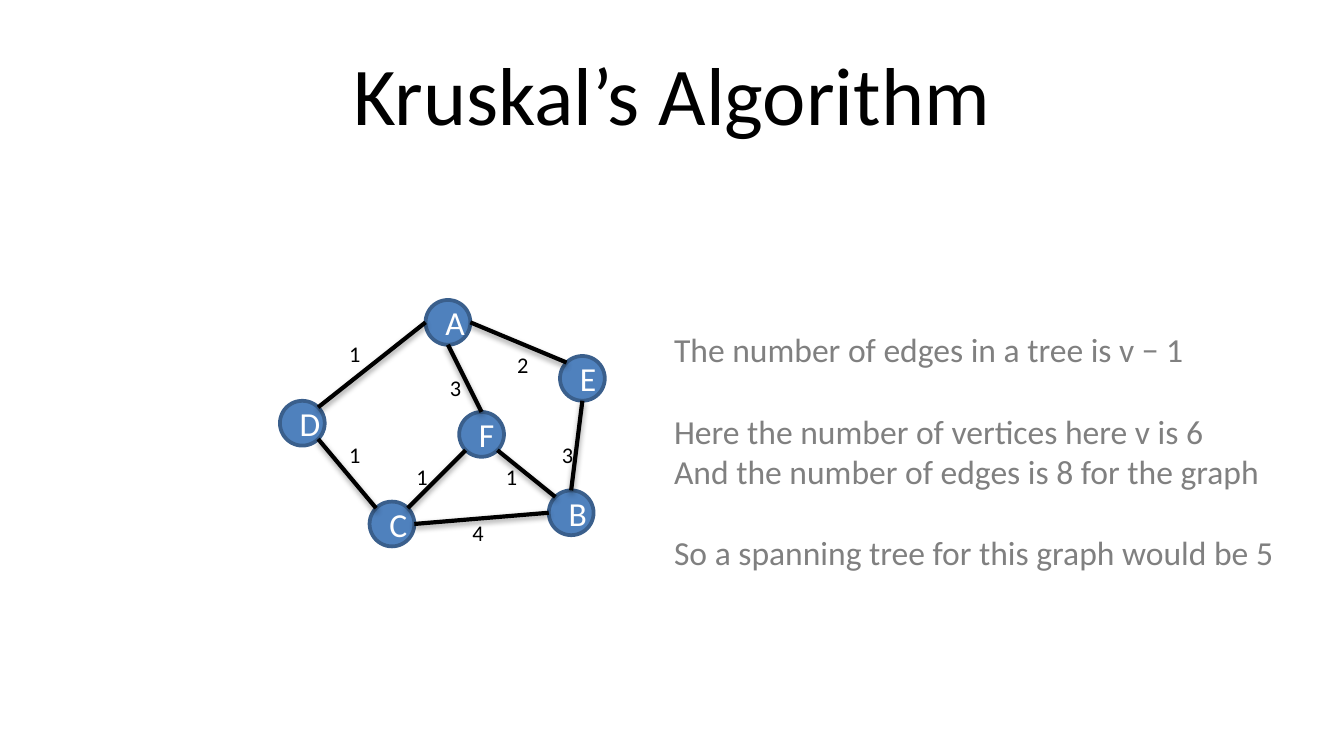
from math import cos, radians, sin

from pptx import Presentation
from pptx.dml.color import RGBColor
from pptx.enum.shapes import MSO_CONNECTOR as Connector, MSO_SHAPE as Shape
from pptx.enum.text import MSO_ANCHOR as Anchor, MSO_AUTO_SIZE as AutoSize, PP_ALIGN as Align
from pptx.util import Cm, Pt

BLACK = RGBColor(0x00, 0x00, 0x00)
WHITE = RGBColor(0xFF, 0xFF, 0xFF)
GRAY = RGBColor(0x80, 0x80, 0x80)
NODE_FILL = RGBColor(0x4F, 0x81, 0xBD)
NODE_LINE = RGBColor(0x3A, 0x5F, 0x8C)
FONT = "Calibri"

GRID_COLUMNS = 29
NODE_CELLS = 4
NODES = {"A": (13, 0), "C": (8, 18), "B": (24, 17), "D": (0, 9), "E": (25, 5), "F": (16, 10)}
RIGHT, LOWER_RIGHT, BOTTOM, LOWER_LEFT = 0, 45, 90, 135
LEFT, UPPER_LEFT, TOP, UPPER_RIGHT = 180, 225, 270, 315
EDGES = [
    ("A", LEFT, "D", UPPER_RIGHT, "1", (5, 3)),
    ("C", UPPER_LEFT, "D", LOWER_RIGHT, "1", (5, 12)),
    ("C", UPPER_RIGHT, "F", LOWER_LEFT, "1", (11, 14)),
    ("B", UPPER_LEFT, "F", LOWER_RIGHT, "1", (19, 14)),
    ("E", BOTTOM, "B", TOP, "3", (24, 12)),
    ("E", UPPER_LEFT, "A", RIGHT, "2", (20, 4)),
    ("B", LEFT, "C", RIGHT, "4", (16, 19)),
    ("A", BOTTOM, "F", TOP, "3", (14, 6)),
]
NOTES = [
    ("The number of edges in a tree is v\u00a0−\u00a01", 0),
    ("Here the number of vertices here v is 6", 22),
    ("And the number of edges is 8 for the graph", 0),
    ("So a spanning tree for this graph would be 5", 22),
]


def add_span(para, text, size, color):
    span = para.add_run()
    span.text = text
    span.font.name = FONT
    span.font.size = Pt(size)
    span.font.color.rgb = color


def add_fitted_box(page, left, top, width, height):
    frame = page.shapes.add_textbox(Cm(left), Cm(top), Cm(width), Cm(height)).text_frame
    frame.word_wrap = False
    frame.auto_size = AutoSize.SHAPE_TO_FIT_TEXT
    return frame


def add_title(page, left, top, width, height):
    frame = page.shapes.add_textbox(Cm(left), Cm(top), Cm(width), Cm(height)).text_frame
    frame.word_wrap = True
    frame.vertical_anchor = Anchor.MIDDLE
    para = frame.paragraphs[0]
    para.alignment = Align.CENTER
    add_span(para, "Kruskal’s Algorithm", 44, BLACK)


def add_node(page, name, left, top, size):
    node = page.shapes.add_shape(Shape.OVAL, Cm(left), Cm(top), Cm(size), Cm(size))
    node.shadow.inherit = False
    node.fill.solid()
    node.fill.fore_color.rgb = NODE_FILL
    node.line.color.rgb = NODE_LINE
    node.line.width = Pt(2)
    node.text_frame.vertical_anchor = Anchor.MIDDLE
    para = node.text_frame.paragraphs[0]
    para.alignment = Align.CENTER
    add_span(para, name, 18, WHITE)


def add_graph(page, left, top, width):
    cell = width / GRID_COLUMNS
    radius = NODE_CELLS / 2

    def place(column, row):
        return left + column * cell, top + row * cell

    def rim(name, angle):
        column, row = NODES[name]
        x, y = place(column + radius * (1 + cos(radians(angle))),
                     row + radius * (1 + sin(radians(angle))))
        return Cm(x), Cm(y)

    for name, spot in NODES.items():
        add_node(page, name, *place(*spot), NODE_CELLS * cell)
    for start, start_angle, end, end_angle, _, _ in EDGES:
        edge = page.shapes.add_connector(
            Connector.STRAIGHT, *rim(start, start_angle), *rim(end, end_angle))
        edge.line.color.rgb = BLACK
        edge.line.width = Pt(2.25)
    for *_, weight, spot in EDGES:
        frame = add_fitted_box(page, *place(*spot), 0.73, 0.77)
        add_span(frame.paragraphs[0], weight, 12, BLACK)


def add_notes(page, left, top, width, height):
    frame = add_fitted_box(page, left, top, width, height)
    for index, (text, gap) in enumerate(NOTES):
        para = frame.add_paragraph() if index else frame.paragraphs[0]
        para.space_before = Pt(gap)
        add_span(para, text, 18, GRAY)


def main():
    deck = Presentation()
    deck.slide_width = Cm(25.4)
    deck.slide_height = Cm(14.29)
    page = deck.slides.add_slide(deck.slide_layouts[6])
    add_title(page, 1.27, 0.57, 22.86, 2.38)
    add_graph(page, 5.29, 5.67, 6.14)
    add_notes(page, 12.49, 6.1, 11.99, 4.88)
    deck.save("out.pptx")


if __name__ == "__main__":
    main()
